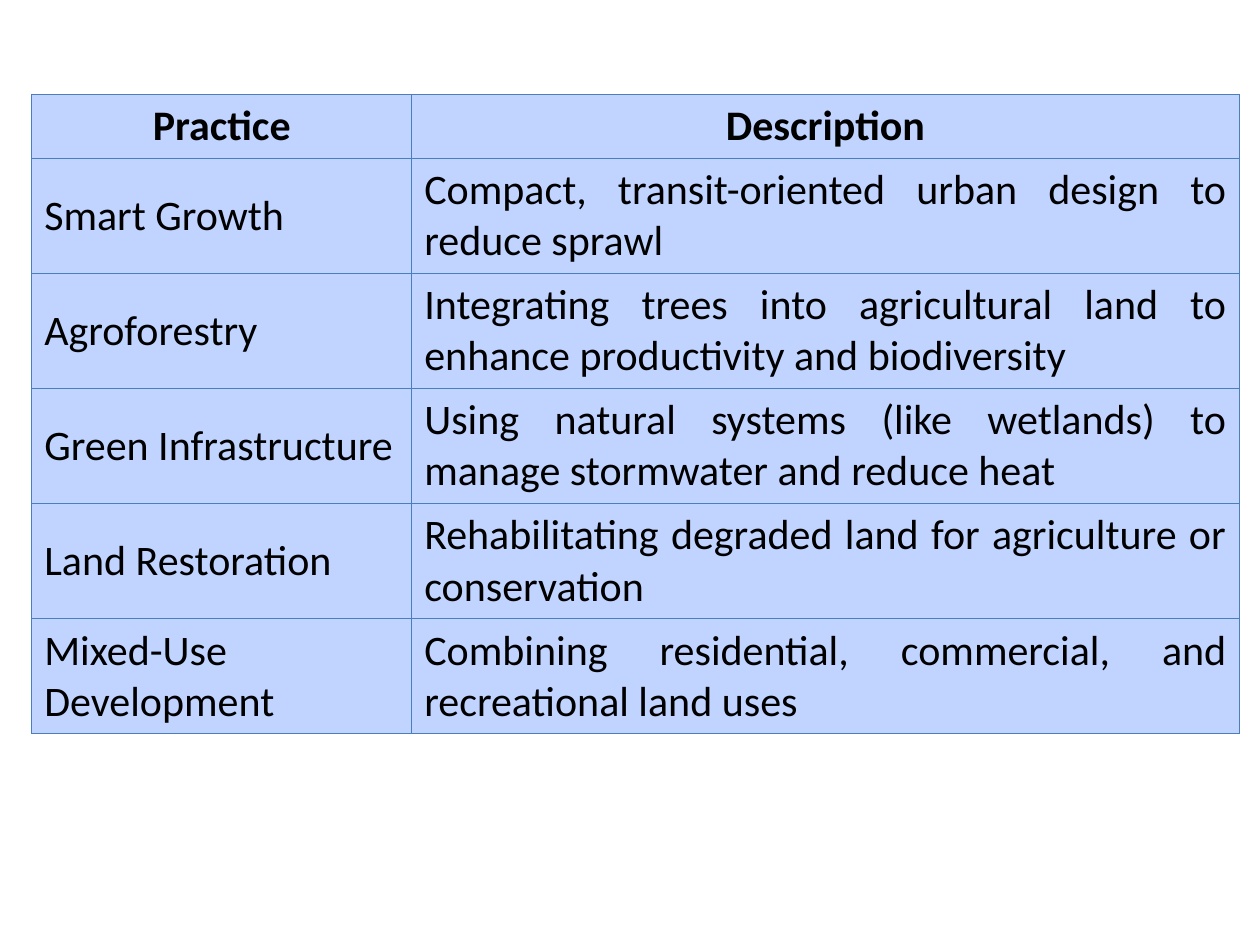
import pptx
import pptx.util
import pptx.dml.color
import pptx.enum.text
import pptx.oxml
import pptx.oxml.ns
from pptx.util import Cm

# Content
HEADER = ("Practice", "Description")
PRACTICES = [
    ("Smart Growth", "Compact, transit-oriented urban design to reduce sprawl"),
    ("Agroforestry", "Integrating trees into agricultural land to enhance productivity and biodiversity"),
    ("Green Infrastructure", "Using natural systems (like wetlands) to manage stormwater and reduce heat"),
    ("Land Restoration", "Rehabilitating degraded land for agriculture or conservation"),
    ("Mixed-Use Development", "Combining residential, commercial, and recreational land uses"),
]
COLORS = {"fill": "C0D4FF", "border": "4B7EBC", "text": "000000"}
COL_WIDTHS = (7.66, 16.68)
HEADER_HEIGHT, ROW_HEIGHT = 1.29, 2.32
BORDER_WIDTH = pptx.util.Pt(0.75)


def rgb(name):
    return pptx.dml.color.RGBColor.from_string(COLORS[name])


def add_borders(cell):
    """Draw a thin line on all four sides; borders precede the fill in tcPr."""
    tcPr = cell._tc.get_or_add_tcPr()
    for i, side in enumerate(("lnL", "lnR", "lnT", "lnB")):
        tcPr.insert(i, pptx.oxml.parse_xml(
            f'<a:{side} {pptx.oxml.ns.nsdecls("a")} w="{BORDER_WIDTH}"><a:solidFill>'
            f'<a:srgbClr val="{COLORS["border"]}"/></a:solidFill></a:{side}>'))


def fill_cell(cell, text, is_header):
    cell.fill.solid()
    cell.fill.fore_color.rgb = rgb("fill")
    cell.vertical_anchor = pptx.enum.text.MSO_ANCHOR.MIDDLE
    add_borders(cell)
    align = pptx.enum.text.PP_ALIGN
    p = cell.text_frame.paragraphs[0]
    p.alignment = align.CENTER if is_header else align.JUSTIFY
    r = p.add_run()
    r.text = text
    r.font.name = "Calibri"
    r.font.size = pptx.util.Pt(24)
    r.font.bold = is_header
    r.font.color.rgb = rgb("text")


def main():
    prs = pptx.Presentation()
    prs.slide_width, prs.slide_height = Cm(25.4), Cm(19.05)
    s = prs.slides.add_slide(prs.slide_layouts[6])

    # Table of practices
    rows = [HEADER] + PRACTICES
    heights = [HEADER_HEIGHT] + [ROW_HEIGHT] * len(PRACTICES)
    table = s.shapes.add_table(len(rows), len(HEADER), Cm(0.64), Cm(1.9),
                               Cm(sum(COL_WIDTHS)), Cm(sum(heights))).table
    for column, width in zip(table.columns, COL_WIDTHS):
        column.width = Cm(width)
    for i, (row, height) in enumerate(zip(rows, heights)):
        table.rows[i].height = Cm(height)
        for j, text in enumerate(row):
            fill_cell(table.cell(i, j), text, i == 0)

    prs.save("out.pptx")


if __name__ == "__main__":
    main()
